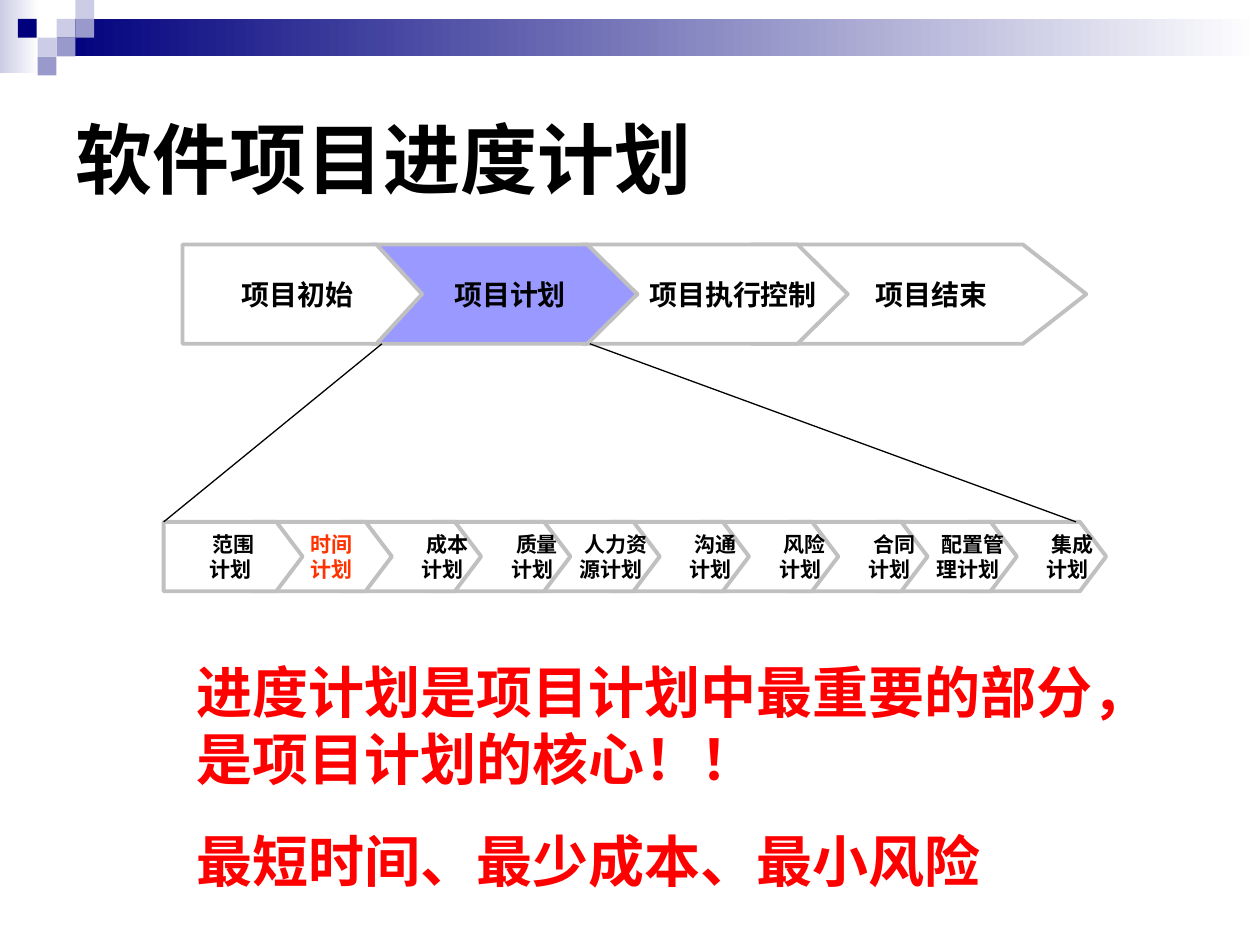
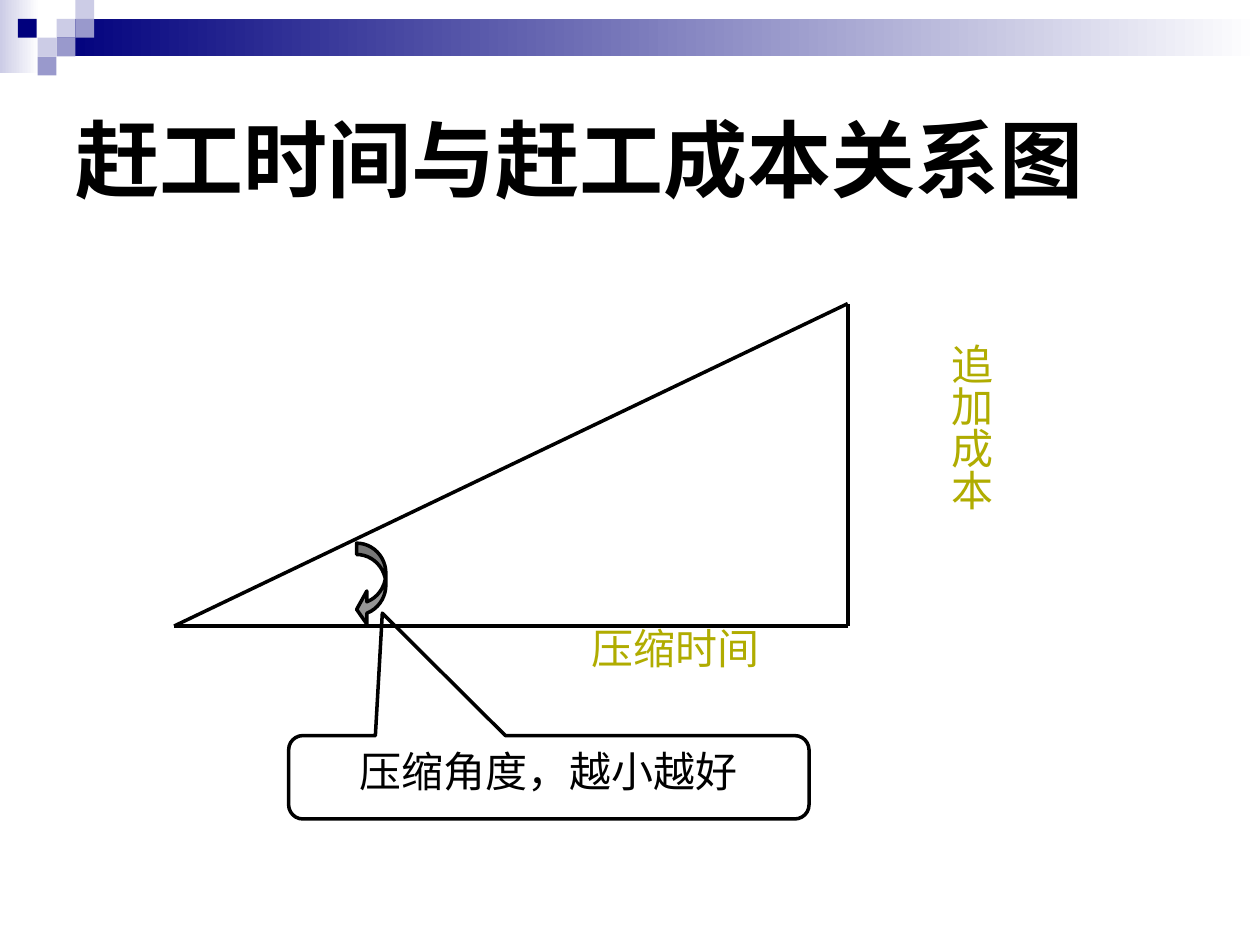
import pptx
import pptx.dml.color
import pptx.enum.shapes
import pptx.enum.text
import pptx.oxml.ns
import pptx.util
from lxml import etree

Cm = pptx.util.Cm
Pt = pptx.util.Pt
RGB = pptx.dml.color.RGBColor.from_string
SHAPE = pptx.enum.shapes.MSO_SHAPE
ALIGN = pptx.enum.text.PP_ALIGN
ANCHOR = pptx.enum.text.MSO_ANCHOR

COLORS = {
    "black": "000000",
    "white": "FFFFFF",
    "navy": "00007D",
    "lavender": "CCCCE6",
    "periwinkle": "9999CC",
    "current_phase": "9999FF",
    "outline": "C0C0C0",
    "time_plan": "FF3300",
    "message": "FF0000",
    "arrow": "969696",
    "axis_label": "B0AC00",
}
CJK_FONT = "Noto Sans CJK SC"


def add_text(text_frame, lines, size, font, color="black", bold=False,
             alignment=ALIGN.LEFT, gap=0):
    """Write one paragraph per line, with gap points between paragraphs."""
    for index, line in enumerate(lines):
        paragraph = text_frame.paragraphs[0] if index == 0 else text_frame.add_paragraph()
        paragraph.alignment = alignment
        if index and gap:
            paragraph.space_before = Pt(gap)
        run = paragraph.add_run()
        run.text = line
        run.font.name = font
        run.font.size = Pt(size)
        run.font.bold = bold
        run.font.color.rgb = RGB(COLORS[color])


def add_line(slide, start, end, width):
    connector = slide.shapes.add_connector(
        pptx.enum.shapes.MSO_CONNECTOR.STRAIGHT,
        *(Cm(value) for value in start + end))
    connector.line.color.rgb = RGB(COLORS["black"])
    connector.line.width = Pt(width)
    properties = connector.element.find(pptx.oxml.ns.qn("p:spPr"))
    etree.SubElement(properties, pptx.oxml.ns.qn("a:effectLst"))


presentation = pptx.Presentation()
presentation.slide_width = Cm(25.4)
presentation.slide_height = Cm(19.05)

# Title place shared by both slides
layout = presentation.slide_layouts[5]
layout_title = layout.placeholders[0]
layout_title.left, layout_title.top = Cm(1.27), Cm(1.27)
layout_title.width, layout_title.height = Cm(22.86), Cm(3.81)

slides = []
for title, title_size in [("软件项目进度计划", 44), ("赶工时间与赶工成本关系图", 48)]:
    slide = presentation.slides.add_slide(layout)
    text_frame = slide.shapes.title.text_frame
    text_frame.auto_size = pptx.enum.text.MSO_AUTO_SIZE.NONE
    text_frame.vertical_anchor = ANCHOR.MIDDLE
    add_text(text_frame, [title], title_size, CJK_FONT, bold=True)
    slides.append(slide)
process_slide, cost_slide = slides

# Header band and mosaic, moved to the slide master
TILE = 0.38
header_parts = [
    (0, 0, 0.79, 1.47, "lavender", True),
    (1.14, TILE, 24.26, 0.76, "navy", True),
    (1.14, TILE, TILE, TILE, "lavender", False),
    (1.52, 0, TILE, TILE, "lavender", False),
    (1.52, TILE, TILE, TILE, "periwinkle", False),
    (0.76, 0.76, TILE, TILE, "lavender", False),
    (0.36, TILE, TILE, TILE, "navy", False),
    (1.14, 0.76, TILE, TILE, "periwinkle", False),
    (0.76, 1.14, TILE, TILE, "periwinkle", False),
]
master_tree = presentation.slide_master.shapes.element
for index, (left, top, width, height, color, fades) in enumerate(header_parts):
    part = process_slide.shapes.add_shape(
        SHAPE.RECTANGLE, Cm(left), Cm(top), Cm(width), Cm(height))
    part.name = f"Header {index + 1}"
    part.shadow.inherit = False
    part.line.fill.background()
    if fades:
        part.fill.gradient()
        part.fill.gradient_angle = 0
        for stop, stop_color in zip(part.fill.gradient_stops, (color, "white")):
            stop.color.rgb = RGB(COLORS[stop_color])
        part.fill.gradient_stops[0].position = 0
        part.fill.gradient_stops[1].position = 1
    else:
        part.fill.solid()
        part.fill.fore_color.rgb = RGB(COLORS[color])
    master_tree.insert(2 + index, part.element)

# Slide 1: project phases above, the plans of the planning phase below
PHASE_TOP, PHASE_HEIGHT = 4.93, 2
PLAN_LEFT, PLAN_TOP, PLAN_HEIGHT, PLAN_STEP = 3.3, 10.52, 1.4, 1.8
# label, left, shoulder, tip, fill, left inset, right inset
phases = [
    ("项目初始", 3.68, 7.59, 8.51, "white", 0.25, 0.43),
    ("项目计划", 7.49, 11.84, 12.85, "current_phase", 0.48, 0.25),
    ("项目执行控制", 11.73, 16.08, 17.09, "white", 0.99, 0.25),
    ("项目结束", 15.14, 20.62, 21.9, "white", 0.76, 0.25),
]
plans = [
    ("范围", "计划 "), ("时间", "计划"), ("成本", "计划 "), ("质量", "计划 "),
    ("人力资", "源计划 "), ("沟通", "计划 "), ("风险", "计划 "), ("合同", "计划 "),
    ("配置管", "理计划 "), ("集成", "计划 "),
]
arrows = [
    ([label], 16, "black", ALIGN.CENTER, PHASE_TOP, PHASE_HEIGHT, *place)
    for label, *place in reversed(phases)
]
for index, lines in reversed(list(enumerate(plans))):
    left = PLAN_LEFT + index * PLAN_STEP
    is_time = lines[0] == "时间"
    arrows.append((
        lines, 12, "time_plan" if is_time else "black",
        ALIGN.CENTER if index < 2 else ALIGN.RIGHT, PLAN_TOP, PLAN_HEIGHT,
        left, left + 2.27, left + 2.8, "white", 0.61 if is_time else 0.25, 0.25))

for (lines, size, color, alignment, top, height,
     left, shoulder, tip, fill, inset_left, inset_right) in arrows:
    bottom = top + height
    builder = process_slide.shapes.build_freeform(Cm(left), Cm(top))
    outline = [(shoulder, top), (tip, top + height / 2), (shoulder, bottom), (left, bottom)]
    builder.add_line_segments([(Cm(x), Cm(y)) for x, y in outline], close=True)
    arrow = builder.convert_to_shape()
    arrow.shadow.inherit = False
    arrow.fill.solid()
    arrow.fill.fore_color.rgb = RGB(COLORS[fill])
    arrow.line.color.rgb = RGB(COLORS["outline"])
    arrow.line.width = Pt(2.25)
    text_frame = arrow.text_frame
    text_frame.word_wrap = False
    text_frame.vertical_anchor = ANCHOR.MIDDLE
    text_frame.margin_left, text_frame.margin_right = Cm(inset_left), Cm(inset_right)
    add_text(text_frame, lines, size, CJK_FONT, color, True, alignment)

phase_bottom = PHASE_TOP + PHASE_HEIGHT
add_line(process_slide, (7.7, phase_bottom), (PLAN_LEFT, PLAN_TOP), 0.75)
add_line(process_slide, (11.89, phase_bottom), (21.69, PLAN_TOP), 0.75)

message = process_slide.shapes.add_textbox(Cm(3.71), Cm(13.13), Cm(18.8), Cm(5.03))
message.text_frame.word_wrap = True
add_text(message.text_frame,
         ["进度计划是项目计划中最重要的部分，是项目计划的核心！！", "最短时间、最少成本、最小风险"],
         32, "Arial", "message", True, gap=20)

# Slide 2: triangle of compressed time against added cost
origin, corner, peak = (3.51, 12.62), (17.09, 12.62), (17.09, 6.12)
for start, end in [(origin, corner), (corner, peak), (origin, peak)]:
    add_line(cost_slide, start, end, 2)

angle_arrow = cost_slide.shapes.add_shape(
    SHAPE.CURVED_LEFT_ARROW, Cm(7.19), Cm(10.95), Cm(0.59), Cm(1.67))
for index, value in enumerate((0.39, 1.13, 0.35)):
    angle_arrow.adjustments[index] = value
angle_arrow.fill.solid()
angle_arrow.fill.fore_color.rgb = RGB(COLORS["arrow"])

callout = cost_slide.shapes.add_shape(
    SHAPE.ROUNDED_RECTANGULAR_CALLOUT, Cm(5.82), Cm(14.83), Cm(10.49), Cm(1.68))
for index, value in enumerate((-0.32, -1.97, 0.17)):
    callout.adjustments[index] = value
callout.fill.background()
callout.text_frame.word_wrap = True
callout.text_frame.vertical_anchor = ANCHOR.TOP
add_text(callout.text_frame, ["压缩角度，越小越好"], 24, "Arial Narrow",
         alignment=ALIGN.CENTER)

for shape in (angle_arrow, callout):
    shape.shadow.inherit = False
    shape.line.color.rgb = RGB(COLORS["black"])
    shape.line.width = Pt(2)

cost_label = cost_slide.shapes.add_textbox(Cm(18.69), Cm(6.68), Cm(1.52), Cm(5.74))
cost_label.element.txBody.bodyPr.set("vert", "eaVert")
cost_frame = cost_label.text_frame
cost_frame.margin_left = cost_frame.margin_right = Cm(0.13)
cost_frame.margin_top = cost_frame.margin_bottom = Cm(0.25)
time_label = cost_slide.shapes.add_textbox(Cm(11.28), Cm(12.42), Cm(4.67), Cm(1.27))
for label, text in [(cost_label, "追加成本"), (time_label, "压缩时间")]:
    label.text_frame.word_wrap = True
    add_text(label.text_frame, [text], 24, "Arial Narrow", "axis_label",
             alignment=ALIGN.CENTER)

presentation.save("out.pptx")
